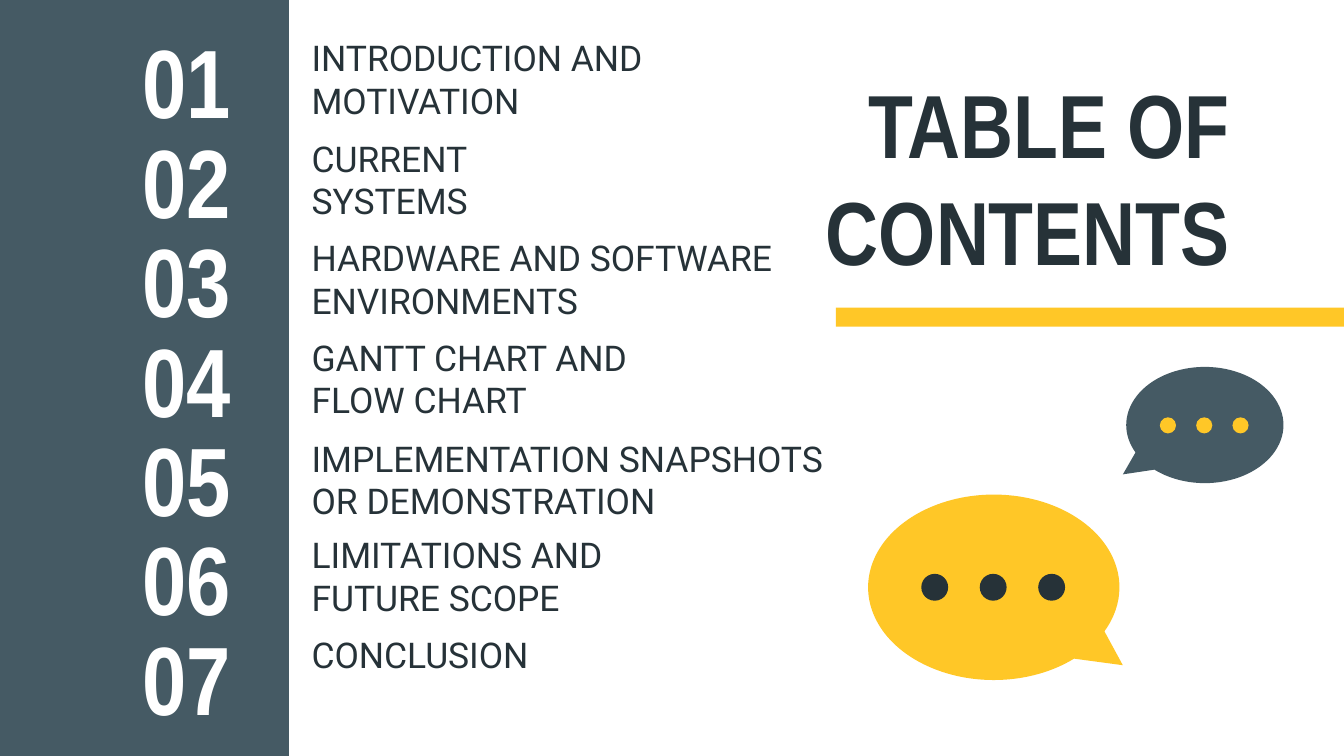
from pptx import Presentation
from pptx import util as u
from pptx.dml.color import RGBColor
from pptx.enum import shapes, text

SCALE = 914400 // 200
SLATE = RGBColor(0x45, 0x5A, 0x64)
INK = RGBColor(0x26, 0x32, 0x38)
GOLD = RGBColor(0xFF, 0xC7, 0x27)
WHITE = RGBColor(0xFF, 0xFF, 0xFF)
LEFT, MID, RIGHT = text.PP_ALIGN.LEFT, text.PP_ALIGN.CENTER, text.PP_ALIGN.RIGHT

TOPICS = [
    (78, 590, "INTRODUCTION AND\nMOTIVATION"),
    (228, 590, "CURRENT\nSYSTEMS"),
    (376, 788, "HARDWARE AND SOFTWARE ENVIRONMENTS"),
    (524, 590, "GANTT CHART AND\nFLOW CHART"),
    (674, 930, "IMPLEMENTATION SNAPSHOTS\nOR DEMONSTRATION"),
    (818, 590, "LIMITATIONS AND\nFUTURE SCOPE"),
    (934, 590, "CONCLUSION"),
]


def px(n):
    return u.Emu(n * SCALE)


class Deck:
    head = "Arial Narrow"
    body = "Roboto"

    def __init__(self):
        self.prs = Presentation()
        self.prs.slide_width, self.prs.slide_height = px(2000), px(1125)
        self.slide = self.prs.slides.add_slide(self.prs.slide_layouts[6])

    def shape(self, kind, x, y, w, h, color):
        item = self.slide.shapes.add_shape(kind, px(x), px(y), px(w), px(h))
        item.shadow.inherit = False
        item.fill.solid()
        item.fill.fore_color.rgb = color
        item.line.fill.background()
        return item

    def bar(self, x, y, w, h, color):
        self.shape(shapes.MSO_SHAPE.RECTANGLE, x, y, w, h, color)

    def dots(self, x, y, r, gap, color):
        for mid in (x - gap, x, x + gap):
            self.shape(shapes.MSO_SHAPE.OVAL, mid - r, y - r, 2 * r, 2 * r, color)

    def bubble(self, x, y, w, h, tip, color):
        item = self.shape(shapes.MSO_SHAPE.OVAL_CALLOUT, x, y, w, h, color)
        item.adjustments[0] = (tip[0] - x) / w - 0.5
        item.adjustments[1] = (tip[1] - y) / h - 0.5

    def label(self, x, y, w, h, words, font, size, color, align=LEFT, bold=False):
        frame = self.slide.shapes.add_textbox(px(x), px(y), px(w), px(h)).text_frame
        frame.word_wrap = True
        frame.vertical_anchor = text.MSO_ANCHOR.MIDDLE
        frame.margin_left = frame.margin_right = px(20)
        frame.margin_top = frame.margin_bottom = px(20)
        frame.text = words
        for para in frame.paragraphs:
            para.alignment = align
            for run in para.runs:
                run.font.name, run.font.size = font, u.Pt(size)
                run.font.bold, run.font.color.rgb = bold, color


def main():
    deck = Deck()
    deck.bar(0, 0, 430, 1128, SLATE)
    for i, (top, width, words) in enumerate(TOPICS):
        deck.label(190, 72 + 148 * i, 176, 94, f"{i + 1:02}",
                   deck.head, 52, WHITE, MID, True)
        deck.label(444, top, width, 78, words, deck.body, 19, INK)

    deck.label(1062, 116, 788, 292, "TABLE OF CONTENTS", deck.head, 48, INK, RIGHT, True)
    deck.bar(1244, 458, 756, 28, GOLD)

    deck.bubble(1292, 736, 374, 276, (1671, 990), GOLD)
    deck.dots(1478, 874, 20, 87, INK)
    deck.bubble(1676, 546, 234, 173, (1671, 706), SLATE)
    deck.dots(1792, 633, 12, 54, GOLD)
    deck.prs.save("out.pptx")


if __name__ == "__main__":
    main()
